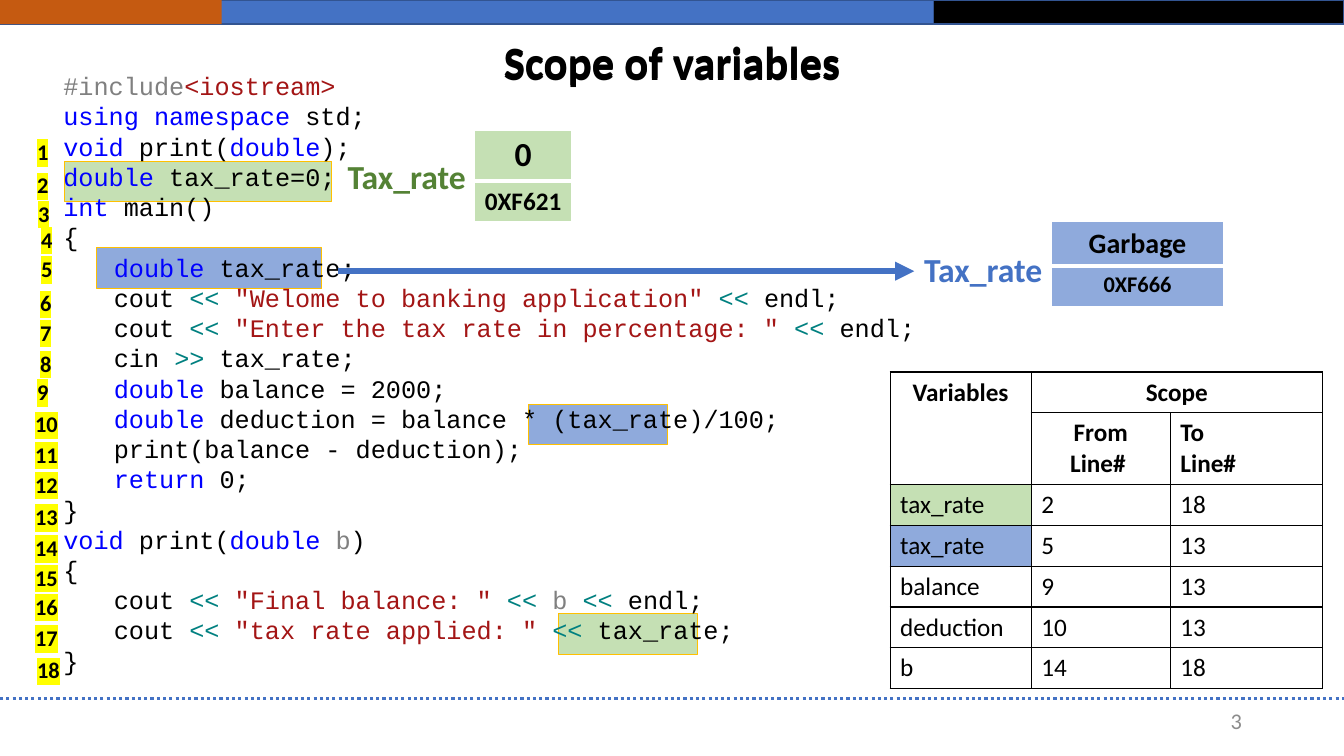
from lxml import etree
from pptx import Presentation
from pptx.dml.color import RGBColor
from pptx.enum.dml import MSO_LINE
from pptx.enum.shapes import MSO_CONNECTOR, MSO_SHAPE
from pptx.enum.text import MSO_ANCHOR, PP_ALIGN
from pptx.oxml.ns import qn
from pptx.util import Pt

RECT, LINE = MSO_SHAPE.RECTANGLE, MSO_CONNECTOR.STRAIGHT
LEFT, CENTER, RIGHT = PP_ALIGN.LEFT, PP_ALIGN.CENTER, PP_ALIGN.RIGHT
TOP, MIDDLE = MSO_ANCHOR.TOP, MSO_ANCHOR.MIDDLE
SANS, MONO = "Calibri", "Courier New"
W, H = 960, 540

COLORS = {
    "black": "000000", "white": "FFFFFF", "blue": "4472C4", "navy": "325491",
    "orange": "C55A11", "gold": "FFC000", "yellow": "FFFF00",
    "global": "C5E0B4", "local": "8FAADC", "green": "548235", "page": "8C8C8C",
    "key": "0000FF", "str": "A31515", "op": "008080", "dim": "808080",
}

# Content: (indent level, (colour, text) runs)
IN, OUT = ("op", ">> "), ("op", "<< ")
COUT, ENDL = ("black", "cout "), ("black", "endl;")
CODE = [
    (0, [("dim", "#include"), ("str", "<iostream>")]),
    (0, [("key", "using namespace"), ("black", " std;")]),
    (0, [("key", "void"), ("black", " print("), ("key", "double"), ("black", ");")]),
    (0, [("key", "double "), ("black", "tax_rate=0;")]),
    (0, [("key", "int"), ("black", " main()")]),
    (0, [("black", "{")]),
    (1, [("key", "double "), ("black", "tax_rate;")]),
    (1, [COUT, OUT, ("str", '"Welome to banking application" '), OUT, ENDL]),
    (1, [COUT, OUT, ("str", '"Enter the tax rate in percentage: " '), OUT, ENDL]),
    (1, [("black", "cin "), IN, ("black", "tax_rate;")]),
    (1, [("key", "double"), ("black", " balance = 2000;")]),
    (1, [("key", "double"), ("black", " deduction = balance * (tax_rate)/100;")]),
    (1, [("black", "print(balance - deduction);")]),
    (1, [("key", "return"), ("black", " 0;")]),
    (0, [("black", "}")]),
    (0, [("key", "void"), ("black", " print("), ("key", "double "), ("dim", "b"),
         ("black", ")")]),
    (0, [("black", "{")]),
    (1, [COUT, OUT, ("str", '"Final balance: " '), OUT, ("dim", "b "), OUT, ENDL]),
    (1, [COUT, OUT, ("str", '"tax rate applied: " '), OUT, ("black", "tax_rate;")]),
    (0, [("black", "}")]),
]
# Line numbers 1 to 18: left and top of each
NUMBER_LEFTS = [19.4, 19.4, 20.2, 22.3, 22.3, 21.6, 21.6, 21.6, 19.4] + [18] * 8 + [19.4]
NUMBER_TOPS = [85.7, 109.4, 129.6, 148.3, 169.2, 193.7, 214.6, 236.9, 257,
               280.1, 301.7, 323.3, 346.3, 368.6, 389.5, 410.4, 432.7, 455.8]
# Top bars: left, width, fill, outline
BARS = [(0, 666.7, "blue", "navy"), (666.7, 293.3, "black", "navy"),
        (0, 158.4, "orange", None)]
# Highlights behind the code: left, top, width, fill
HIGHLIGHTS = [(377.3, 288.7, 99.4, "local"), (398.9, 438.5, 99.4, "global"),
              (69.1, 177.1, 160.6, "local"), (46.1, 115.2, 190.8, "global")]
# Memory cells: box, rows of (text, size, height), fill, label position and colour
MEMORY = [
    (339.1, 92.9, 69.1, [("0", 24, 36.5), ("0XF621", 18, 29.2)], "global",
     (241.2, 108), "green"),
    (751, 158.4, 123.1, [("Garbage", 20, 31.6), ("0XF666", 16, 29.2)], "local",
     (653, 174.2), "blue"),
]
HEADER = [("Variables", "Scope", ""), ("", "From\nLine# ", "To \nLine#")]
SCOPES = [("tax_rate", "2", "18"), ("tax_rate", "5", "13"), ("balance", "9", "13"),
          ("deduction", "10", "13"), ("b", "14", "18")]
MARKED = {2: "global", 3: "local"}


def rgb(name):
    return RGBColor.from_string(COLORS[name])


def style(p, size, color="black", bold=False, align=LEFT, font=SANS):
    p.alignment = align
    f = p.font
    f.name, f.size, f.bold = font, Pt(size), bold
    f.color.rgb = rgb(color)


def add_rect(x, y, w, h, fill, line, line_width):
    s = slide.shapes.add_shape(RECT, Pt(x), Pt(y), Pt(w), Pt(h))
    s.shadow.inherit = False
    s.fill.solid()
    s.fill.fore_color.rgb = rgb(fill)
    if line:
        s.line.color.rgb = rgb(line)
        s.line.width = Pt(line_width)
    else:
        s.line.fill.background()


def add_box(x, y, w, h, anchor=TOP):
    tf = slide.shapes.add_textbox(Pt(x), Pt(y), Pt(w), Pt(h)).text_frame
    tf.word_wrap = True
    tf.vertical_anchor = anchor
    return tf


def add_text(text, x, y, w, h, size, color="black", bold=True, align=LEFT,
             anchor=TOP, spacing=None):
    p = add_box(x, y, w, h, anchor).paragraphs[0]
    p.add_run().text = text
    style(p, size, color, bold, align)
    p.line_spacing = spacing
    return p


def add_line(x1, x2, y, width):
    c = slide.shapes.add_connector(LINE, Pt(x1), Pt(y), Pt(x2), Pt(y))
    c.line.color.rgb = rgb("blue")
    c.line.width = Pt(width)
    etree.SubElement(c._element.spPr, qn("a:effectLst"))
    return c


def add_table(x, y, widths, heights):
    t = slide.shapes.add_table(len(heights), len(widths), Pt(x), Pt(y),
                               Pt(sum(widths)), Pt(sum(heights))).table
    for col, w in zip(t.columns, widths):
        col.width = Pt(w)
    for row, h in zip(t.rows, heights):
        row.height = Pt(h)
    return t


def fill_cell(cell, text, size, fill, bold, align, **borders):
    cell.text = text
    for p in cell.text_frame.paragraphs:
        style(p, size, "black", bold, align)
    tcPr = cell._tc.get_or_add_tcPr()
    for side in "LRTB":
        color, width = borders.get(side, borders["all"])
        ln = etree.SubElement(tcPr, qn(f"a:ln{side}"), w=str(Pt(width)))
        solid = etree.SubElement(ln, qn("a:solidFill"))
        etree.SubElement(solid, qn("a:srgbClr"), val=COLORS[color])
    cell.fill.solid()
    cell.fill.fore_color.rgb = rgb(fill)


prs = Presentation()
prs.slide_width, prs.slide_height = Pt(W), Pt(H)
slide = prs.slides.add_slide(prs.slide_layouts[6])

# Frame: top bars, footer rule, page number
for x, w, fill, line in BARS:
    add_rect(x, 0, w, 17.3, fill, line, 1)
add_line(0, W, 499, 2.25).line.dash_style = MSO_LINE.ROUND_DOT
add_text("3", 678.2, 500.4, 216, 28.8, 16, "page", False, RIGHT, MIDDLE)

# Code over its highlights
for x, y, w, fill in HIGHLIGHTS:
    add_rect(x, y, w, 28.8, fill, "gold", 0.75)
tf = add_box(38.2, 46.8, 643, 443.5)
for i, (level, runs) in enumerate(CODE):
    p = tf.add_paragraph() if i else tf.paragraphs[0]
    style(p, 18, font=MONO)
    if level:
        p.level = level
        p._p.get_or_add_pPr().set("marL", str(Pt(36 * level)))
    for color, text in runs:
        r = p.add_run()
        r.text = text
        r.font.color.rgb = rgb(color)

# Memory cells with their labels, and the arrow to the local one
for x, y, w, rows, fill, (label_x, label_y), color in MEMORY:
    t = add_table(x, y, [w], [h for _, _, h in rows])
    for i, (text, size, _) in enumerate(rows):
        gap = {"B": ("white", 3)} if i == 0 else {"T": ("white", 3)}
        fill_cell(t.cell(i, 0), text, size, fill, True, CENTER, all=("white", 1), **gap)
    add_text("Tax_rate", label_x, label_y, 111.6, 36, 24, color)
arrow = add_line(241.2, 653, 193.7, 4.5)
etree.SubElement(arrow.line._get_or_add_ln(), qn("a:tailEnd"), type="triangle")

# Scope table
t = add_table(635.8, 265.7, [100.8, 99.4, 108.7], [29.2, 51.1] + [29.2] * len(SCOPES))
for i, row in enumerate(HEADER + SCOPES):
    head = i < len(HEADER)
    for j, text in enumerate(row):
        fill = MARKED.get(i, "white") if j == 0 else "white"
        align = CENTER if head and (i, j) != (1, 2) else LEFT
        fill_cell(t.cell(i, j), text, 18, fill, head, align, all=("black", 1))
t.cell(0, 0).merge(t.cell(1, 0))
t.cell(0, 1).merge(t.cell(0, 2))

# Line numbers
for n, (x, y) in enumerate(zip(NUMBER_LEFTS, NUMBER_TOPS), 1):
    p = add_text(str(n), x, y, 26.6 if n < 9 else 44.6, 33.1, 16, spacing=1.5)
    mark = etree.SubElement(p.runs[0]._r.get_or_add_rPr(), qn("a:highlight"))
    etree.SubElement(mark, qn("a:srgbClr"), val=COLORS["yellow"])

# Title, doubled with a slight drop
for y in (15.8, 16.6):
    add_text("Scope of variables", 66.2, y, 828, 60.5, 32, align=CENTER,
             anchor=MIDDLE, spacing=0.9)

prs.save("out.pptx")
